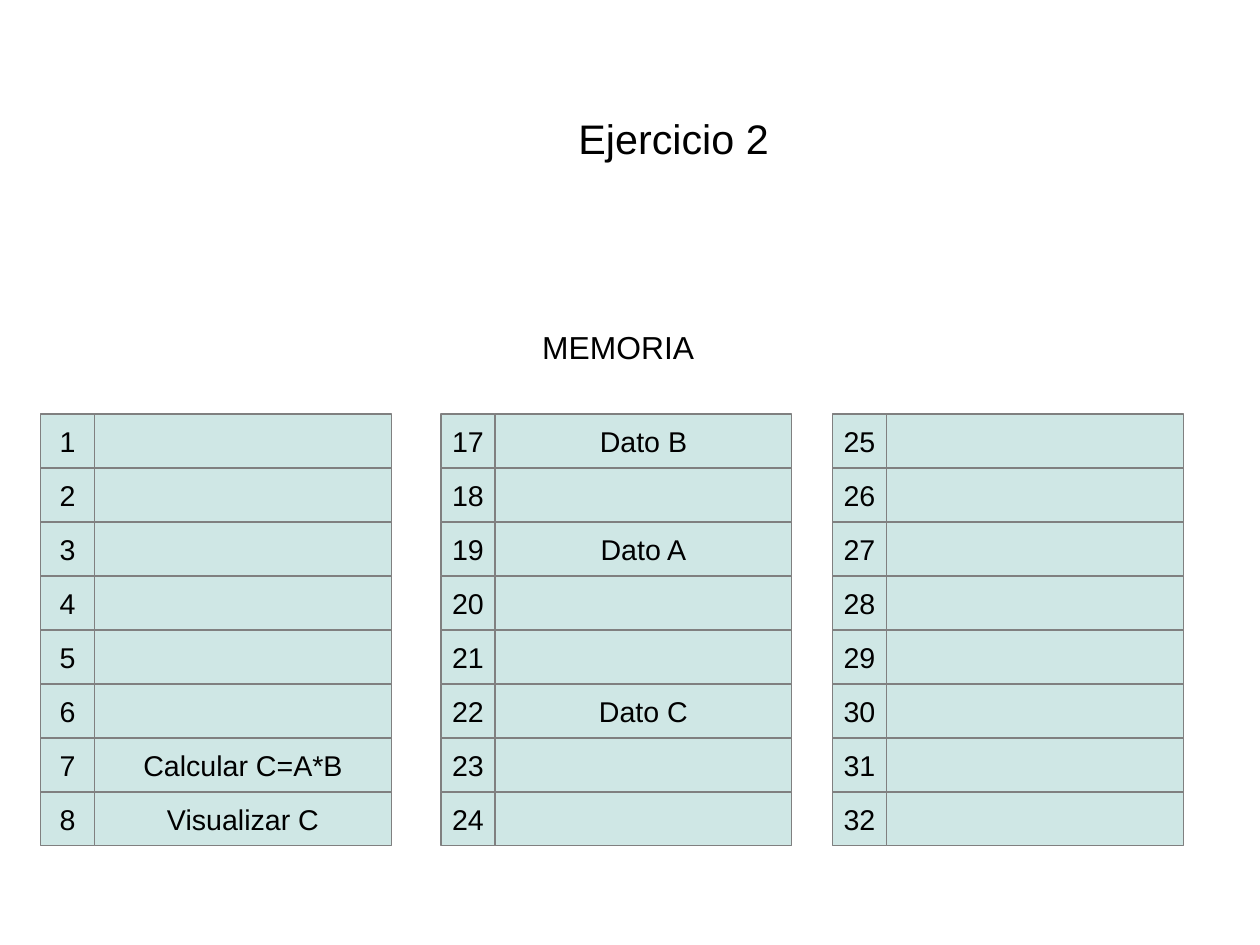
from pptx import Presentation
from pptx import util as u
from pptx.dml.color import RGBColor
from pptx.enum import shapes, text

TITLE = "Ejercicio 2"
HEADING = "MEMORIA"
CONTENTS = {7: "Calcular C=A*B", 8: "Visualizar C",
            17: "Dato B", 19: "Dato A", 22: "Dato C"}

# Lengths in centimetres
SLIDE_W, SLIDE_H = 28, 21
BANKS = [(1, 0.9), (17, 9.8), (25, 18.5)]  # first address, left edge
ROWS, TOP, CELL, CONTENT_W = 8, 9.2, 1.2, 6.6
FONT, BLACK, MINT, GREY = "Arial", "000000", "CFE7E5", "808080"


def rgb(value):
    return RGBColor.from_string(value)


def write(sp, words, size, align, anchor, wrap):
    tf = sp.text_frame
    tf.text = words
    tf.word_wrap = wrap
    tf.auto_size = text.MSO_AUTO_SIZE.NONE
    tf.vertical_anchor = anchor
    p = tf.paragraphs[0]
    p.alignment = align
    p.font.name, p.font.size = FONT, u.Pt(size)
    p.font.color.rgb = rgb(BLACK)


def add_cell(slide, left, top, width, words):
    box = [u.Cm(v) for v in (left, top, width, CELL)]
    sp = slide.shapes.add_shape(shapes.MSO_SHAPE.RECTANGLE, *box)
    sp.shadow.inherit = False
    sp.fill.solid()
    sp.fill.fore_color.rgb = rgb(MINT)
    sp.line.color.rgb = rgb(GREY)
    sp.line.width = u.Pt(0.75)
    if words:
        write(sp, words, 18, text.PP_ALIGN.CENTER, text.MSO_ANCHOR.MIDDLE, False)


prs = Presentation()
prs.slide_width, prs.slide_height = u.Cm(SLIDE_W), u.Cm(SLIDE_H)
slide = prs.slides.add_slide(prs.slide_layouts[5])

title = slide.shapes.title
title.left, title.top, title.width, title.height = map(u.Cm, (12.6, 2.4, 6, 1.27))
heading = slide.shapes.add_textbox(*map(u.Cm, (11.8, 7.16, 4.6, 1.04)))
for sp, words, size in [(title, TITLE, 26), (heading, HEADING, 20)]:
    write(sp, words, size, text.PP_ALIGN.LEFT, text.MSO_ANCHOR.TOP, True)

for first, left in BANKS:
    for row in range(ROWS):
        address, top = first + row, TOP + row * CELL
        add_cell(slide, left, top, CELL, str(address))
        add_cell(slide, left + CELL, top, CONTENT_W, CONTENTS.get(address))

prs.save("out.pptx")
